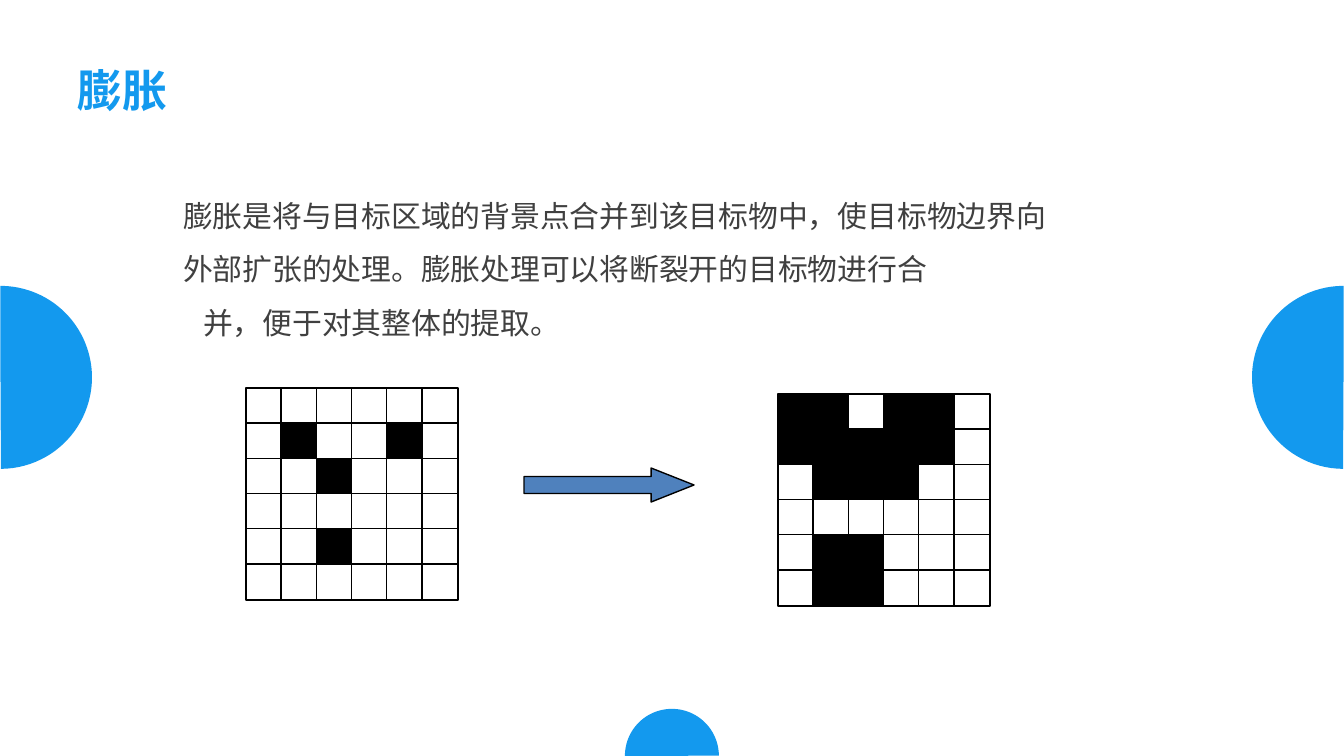
from lxml import etree
from pptx import Presentation
from pptx import util as u
from pptx.dml.color import RGBColor
from pptx.enum import shapes, text
from pptx.oxml.ns import qn

FONT = "Noto Sans CJK SC"
BLUE = "1399EE"
BLACK = "000000"
WHITE = "FFFFFF"
BEFORE = ["......", ".#..#.", "..#...", "......", "..#...", "......"]
AFTER = ["##.##.", "#####.", ".###..", "......", ".##...", ".##..."]


def px(length):
    return u.Emu(round(length * 914400 / 134.4))


def color(value):
    return RGBColor.from_string(value)


def add_shape(parent, kind, box, fill, line=None):
    shape = parent.add_shape(kind, *map(px, box))
    shape.shadow.inherit = False
    shape.fill.solid()
    shape.fill.fore_color.rgb = color(fill)
    if line:
        shape.line.color.rgb = color(line)
        shape.line.width = u.Pt(0.75)
    else:
        shape.line.fill.background()
    return shape


def add_text(page, box, lines, size, fill, bold=False, spacing=1.0, indents=(0,)):
    frame = page.shapes.add_textbox(*map(px, box)).text_frame
    frame.word_wrap = True
    frame.auto_size = text.MSO_AUTO_SIZE.SHAPE_TO_FIT_TEXT
    for index, (line, indent) in enumerate(zip(lines, indents)):
        para = frame.add_paragraph() if index else frame.paragraphs[0]
        para.line_spacing = spacing
        if indent:
            para._p.get_or_add_pPr().set("indent", str(px(indent)))
        span = para.add_run()
        span.text = line
        span.font.name = FONT
        span.font.size = u.Pt(size)
        span.font.bold = bold
        span.font.color.rgb = color(fill)
        etree.SubElement(span.font._element, qn("a:ea"), typeface=FONT)


def add_half_disc(page, box, rotation, flips):
    disc = add_shape(page.shapes, shapes.MSO_SHAPE.PIE, box, BLUE)
    disc.adjustments[0] = 0
    disc.adjustments[1] = 107.82
    disc.rotation = rotation
    for flip in flips:
        disc.element.spPr.xfrm.set(flip, "1")


def add_decoration(page):
    add_half_disc(page, (625, 709, 94, 94), 0, ["flipH", "flipV"])
    add_half_disc(page, (-91, 286, 183, 183), 90, ["flipH", "flipV"])
    add_half_disc(page, (1252, 286, 183, 183), 270, ["flipV"])


def add_pixel_grid(page, box, rows):
    left, top, width, height = box
    side = 36
    step_x = (width - side) / (len(rows[0]) - 1)
    step_y = (height - side) / (len(rows) - 1)
    group = page.shapes.add_group_shape()
    for row, marks in enumerate(rows):
        for column, mark in enumerate(marks):
            cell = (left + column * step_x, top + row * step_y, side, side)
            fill = BLACK if mark == "#" else WHITE
            add_shape(group.shapes, shapes.MSO_SHAPE.RECTANGLE, cell, fill, BLACK)


def add_dilation_example(page, box):
    left, top = box[:2]
    add_pixel_grid(page, (left, top, 212, 212), BEFORE)
    arrow = add_shape(page.shapes, shapes.MSO_SHAPE.RIGHT_ARROW,
                      (left + 278, top + 80, 170, 34), "4F81BD", BLACK)
    arrow.adjustments[0] = 0.5
    arrow.adjustments[1] = 1.26
    add_pixel_grid(page, (left + 532, top + 6, 212, 212), AFTER)


def main():
    deck = Presentation()
    deck.slide_width, deck.slide_height = px(1344), px(756)
    page = deck.slides.add_slide(deck.slide_layouts[6])
    add_decoration(page)
    add_text(page, (64, 56, 653, 67), ["膨胀"], 24, BLUE, bold=True)
    add_text(page, (170, 173, 892, 176), [
        "膨胀是将与目标区域的背景点合并到该目标物中，使目标物边界向外部扩张的处理。膨胀处理可以将断裂开的目标物进行合",
        "并，便于对其整体的提取。",
    ], 16, "404040", spacing=1.5, indents=(0, 20))
    add_dilation_example(page, (246, 388, 744, 218))
    deck.save("out.pptx")


if __name__ == "__main__":
    main()
